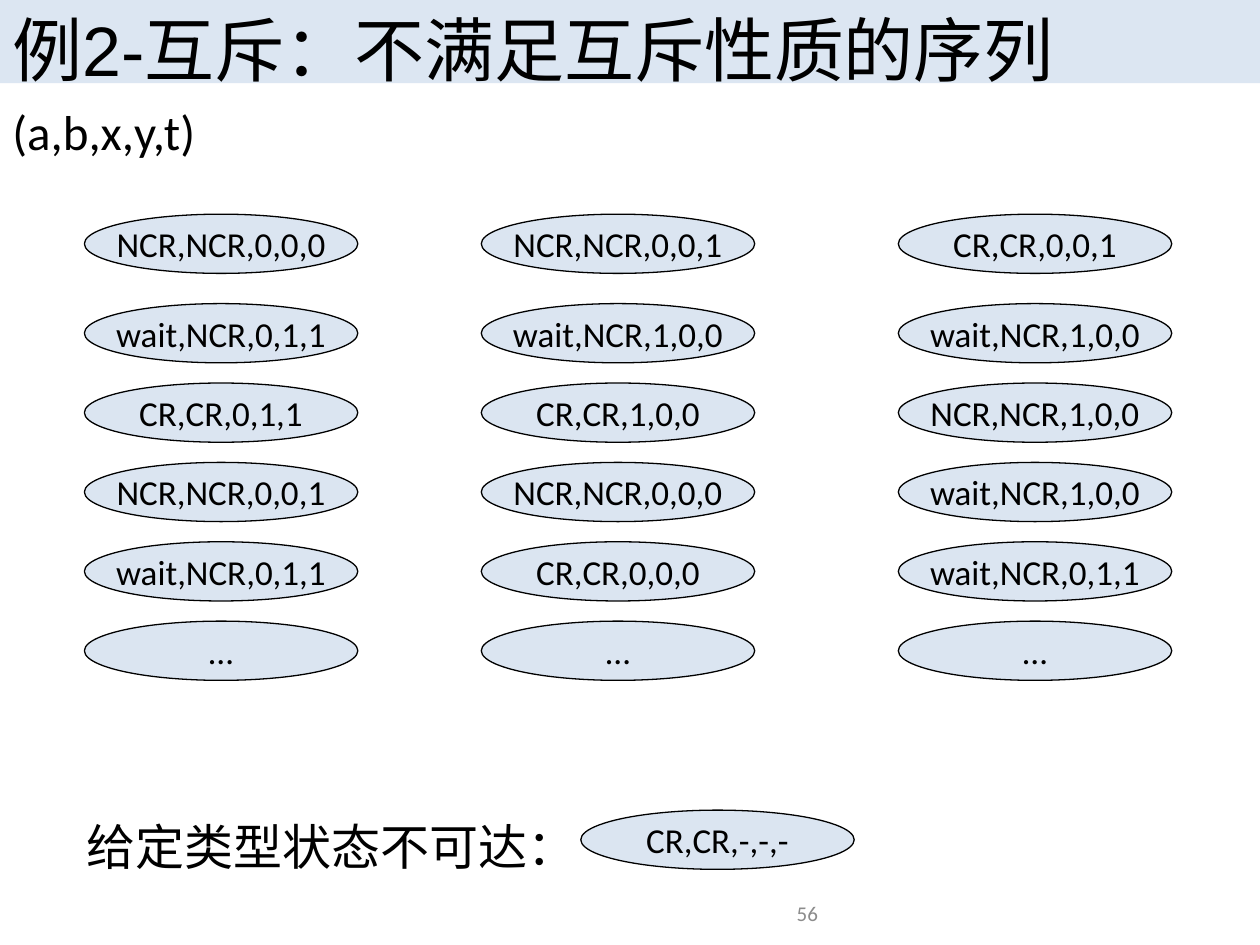
import dataclasses

import pptx
import pptx.dml.color
import pptx.enum.shapes
import pptx.enum.text
import pptx.oxml
import pptx.oxml.ns
import pptx.util

Inches = pptx.util.Inches
Pt = pptx.util.Pt
Align = pptx.enum.text.PP_ALIGN
Anchor = pptx.enum.text.MSO_ANCHOR
Fit = pptx.enum.text.MSO_AUTO_SIZE


@dataclasses.dataclass(frozen=True)
class Theme:
    band: str = "DCE6F2"
    accent: str = "4F81BD"
    ink: str = "000000"
    muted: str = "8C8C8C"
    tint: int = 20
    head: str = "Arial"
    body: str = "Calibri"
    title: int = 40
    label: int = 28
    state: int = 20
    small: int = 12


THEME = Theme()
OVAL = (2.17, 0.47)
GAP = 0.63
COLUMNS = [
    (0.67, ["NCR,NCR,0,0,0", "wait,NCR,0,1,1", "CR,CR,0,1,1",
            "NCR,NCR,0,0,1", "wait,NCR,0,1,1", "…"]),
    (3.82, ["NCR,NCR,0,0,1", "wait,NCR,1,0,0", "CR,CR,1,0,0",
            "NCR,NCR,0,0,0", "CR,CR,0,0,0", "…"]),
    (7.13, ["CR,CR,0,0,1", "wait,NCR,1,0,0", "NCR,NCR,1,0,0",
            "wait,NCR,1,0,0", "wait,NCR,0,1,1", "…"]),
]


def color(code):
    return pptx.dml.color.RGBColor.from_string(code)


def write(frame, text, size, align=Align.LEFT, face=THEME.body, ink=THEME.ink):
    frame.text = text
    para = frame.paragraphs[0]
    para.alignment = align
    font = para.runs[0].font
    font.name, font.size = face, Pt(size)
    font.color.rgb = color(ink)


def add_title(slide, box, text):
    shape = slide.shapes.title
    shape.left, shape.top, shape.width, shape.height = map(Inches, box)
    shape.fill.solid()
    shape.fill.fore_color.rgb = color(THEME.band)
    frame = shape.text_frame
    frame.auto_size = Fit.NONE
    frame.vertical_anchor = Anchor.TOP
    write(frame, text, THEME.title, face=THEME.head)


def add_label(slide, box, text):
    frame = slide.shapes.add_textbox(*map(Inches, box)).text_frame
    frame.word_wrap = True
    frame.auto_size = Fit.SHAPE_TO_FIT_TEXT
    write(frame, text, THEME.label)


def add_state(slide, left, top, text):
    kind = pptx.enum.shapes.MSO_SHAPE.OVAL
    shape = slide.shapes.add_shape(kind, *map(Inches, (left, top, *OVAL)))
    shape.shadow.inherit = False
    shape.fill.solid()
    shape.fill.fore_color.rgb = color(THEME.accent)
    # Tint the fill through its opacity
    tone = shape.fill._xPr.find(".//" + pptx.oxml.ns.qn("a:srgbClr"))
    tone.append(pptx.oxml.parse_xml(
        f'<a:alpha {pptx.oxml.ns.nsdecls("a")} val="{THEME.tint * 1000}"/>'))
    shape.line.color.rgb = color(THEME.ink)
    shape.line.width = Pt(0.75)
    frame = shape.text_frame
    frame.word_wrap = False
    frame.vertical_anchor = Anchor.MIDDLE
    write(frame, text, THEME.state, Align.CENTER)


def add_column(slide, left, top, states):
    # The first state stands slightly apart from the evenly spaced rest
    add_state(slide, left, top, states[0])
    for row, text in enumerate(states[1:]):
        add_state(slide, left, top + 0.71 + row * GAP, text)


def add_result(slide, box, text, state):
    left, top = box[:2]
    add_state(slide, left + 4.02, top, state)
    add_label(slide, box, text)


def add_number(slide, box, text):
    frame = slide.shapes.add_textbox(*map(Inches, box)).text_frame
    frame.word_wrap = True
    frame.vertical_anchor = Anchor.BOTTOM
    frame.margin_bottom = 0
    write(frame, text, THEME.small, Align.RIGHT, ink=THEME.muted)


def main():
    deck = pptx.Presentation()
    deck.slide_width, deck.slide_height = Inches(10), Inches(7.5)
    slide = deck.slides.add_slide(deck.slide_layouts[5])

    # Heading and state format
    add_title(slide, (0, 0, 10, 0.66), "例2-互斥：不满足互斥性质的序列")
    add_label(slide, (0, 0.76, 10, 0.57), "(a,b,x,y,t)")

    # State sequences
    for left, states in COLUMNS:
        add_column(slide, left, 1.7, states)

    # Conclusion and page number
    add_result(slide, (0.59, 6.43, 8.43, 0.57), "给定类型状态不可达：", "CR,CR,-,-,-")
    add_number(slide, (3.42, 6.95, 3.17, 0.4), "56")
    deck.save("out.pptx")


if __name__ == "__main__":
    main()
